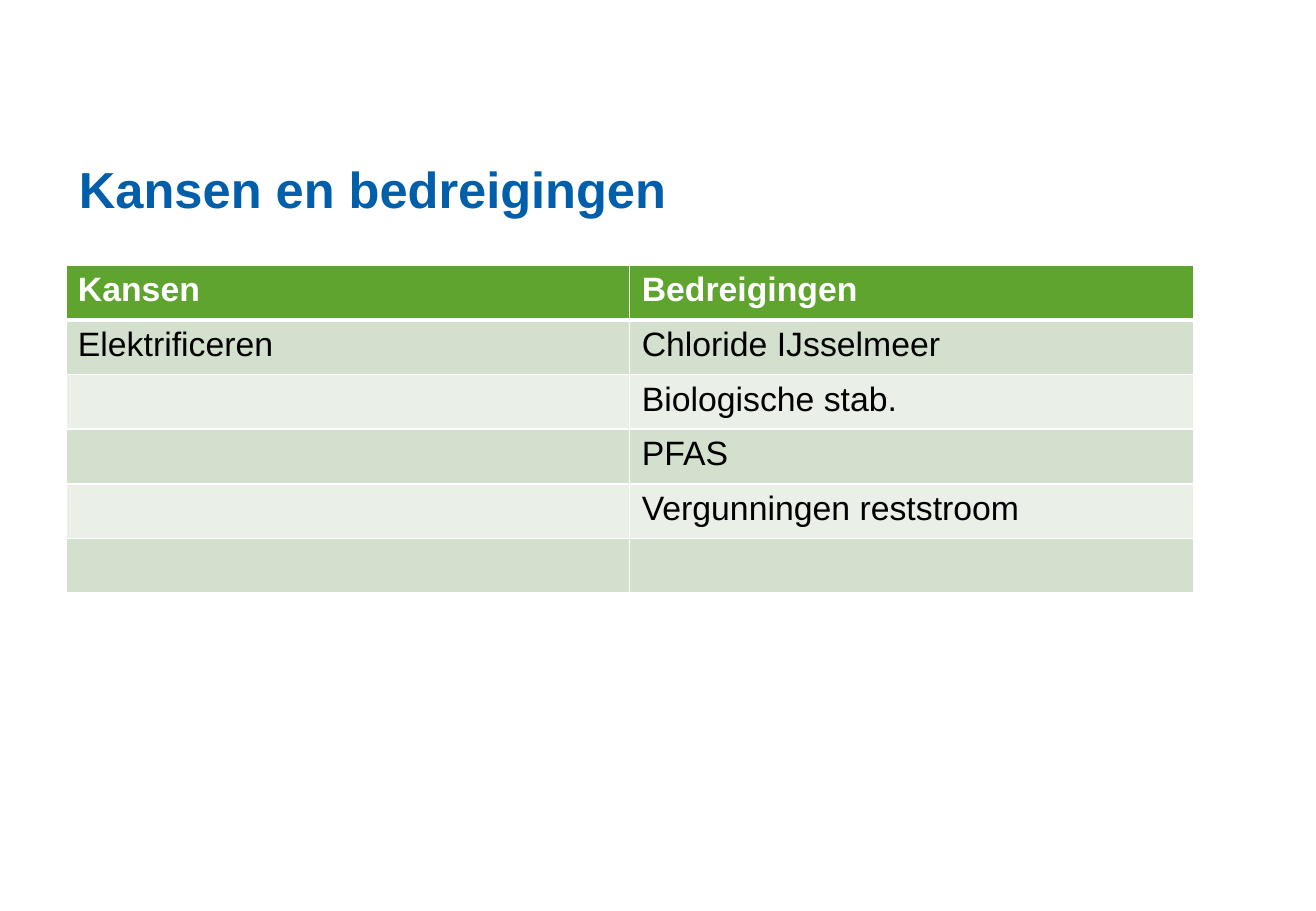
from lxml import etree
from pptx import Presentation
from pptx import util as u
from pptx.dml.color import RGBColor
from pptx.enum import text
from pptx.oxml import ns

PX = u.Inches(1) // 120
LEFT = 65
ROW_HEIGHT = 54
ROWS = [
    ("Kansen", "Bedreigingen"),
    ("Elektrificeren", "Chloride IJsselmeer"),
    ("", "Biologische stab."),
    ("", "PFAS"),
    ("", "Vergunningen reststroom"),
    ("", ""),
]


def colour(value):
    return RGBColor.from_string(value)


def assign(target, values):
    for name, value in values.items():
        setattr(target, name, value)


class SlideBuilder:
    font = "Arial"
    blue, green, white, black = "005EAA", "5EA42F", "FFFFFF", "000000"
    bands = ("D2E0CD", "EAF0E8")

    def __init__(self, deck):
        self.page = deck.slides.add_slide(deck.slide_layouts[5])

    def add_words(self, para, words, size, shade, bold):
        para.alignment = text.PP_ALIGN.LEFT
        if words:
            span = para.add_run()
            span.text = words
            assign(span.font, {"name": self.font, "size": u.Pt(size), "bold": bold})
            span.font.color.rgb = colour(shade)

    def title(self, words, left, top, width, height):
        box = self.page.shapes.title
        assign(box, {"left": left * PX, "top": top * PX,
                     "width": width * PX, "height": height * PX})
        assign(box.text_frame, {
            "margin_left": 13 * PX, "margin_right": 13 * PX,
            "margin_top": 7 * PX, "margin_bottom": 7 * PX,
            "vertical_anchor": text.MSO_ANCHOR.BOTTOM, "word_wrap": True,
        })
        self.add_words(box.text_frame.paragraphs[0], words, 30, self.blue, True)

    def border(self, cell, side, points):
        props = cell._tc.get_or_add_tcPr()
        line = etree.SubElement(props, ns.qn(f"a:ln{side}"), w=str(u.Pt(points)))
        fill = etree.SubElement(line, ns.qn("a:solidFill"))
        etree.SubElement(fill, ns.qn("a:srgbClr"), val=self.white)

    def table(self, rows, left, top, width, row_height):
        grid = self.page.shapes.add_table(
            len(rows), len(rows[0]), left * PX, top * PX,
            width * PX, row_height * len(rows) * PX).table
        for r, row in enumerate(rows):
            header = r == 0
            for c, words in enumerate(row):
                cell = grid.cell(r, c)
                widths = {"L": 1, "R": 1, "T": 3 if r == 1 else 1, "B": 3 if header else 1}
                for side, points in widths.items():
                    self.border(cell, side, points)
                cell.fill.solid()
                cell.fill.fore_color.rgb = colour(
                    self.green if header else self.bands[(r - 1) % 2])
                self.add_words(cell.text_frame.paragraphs[0], words, 20,
                               self.white if header else self.black, header)


def main():
    deck = Presentation()
    assign(deck, {"slide_width": 1300 * PX, "slide_height": 900 * PX})
    slide = SlideBuilder(deck)
    slide.title("Kansen en bedreigingen", LEFT, 73, 1170, 150)
    slide.table(ROWS, LEFT, 262, 1114, ROW_HEIGHT)
    deck.save("out.pptx")


if __name__ == "__main__":
    main()
